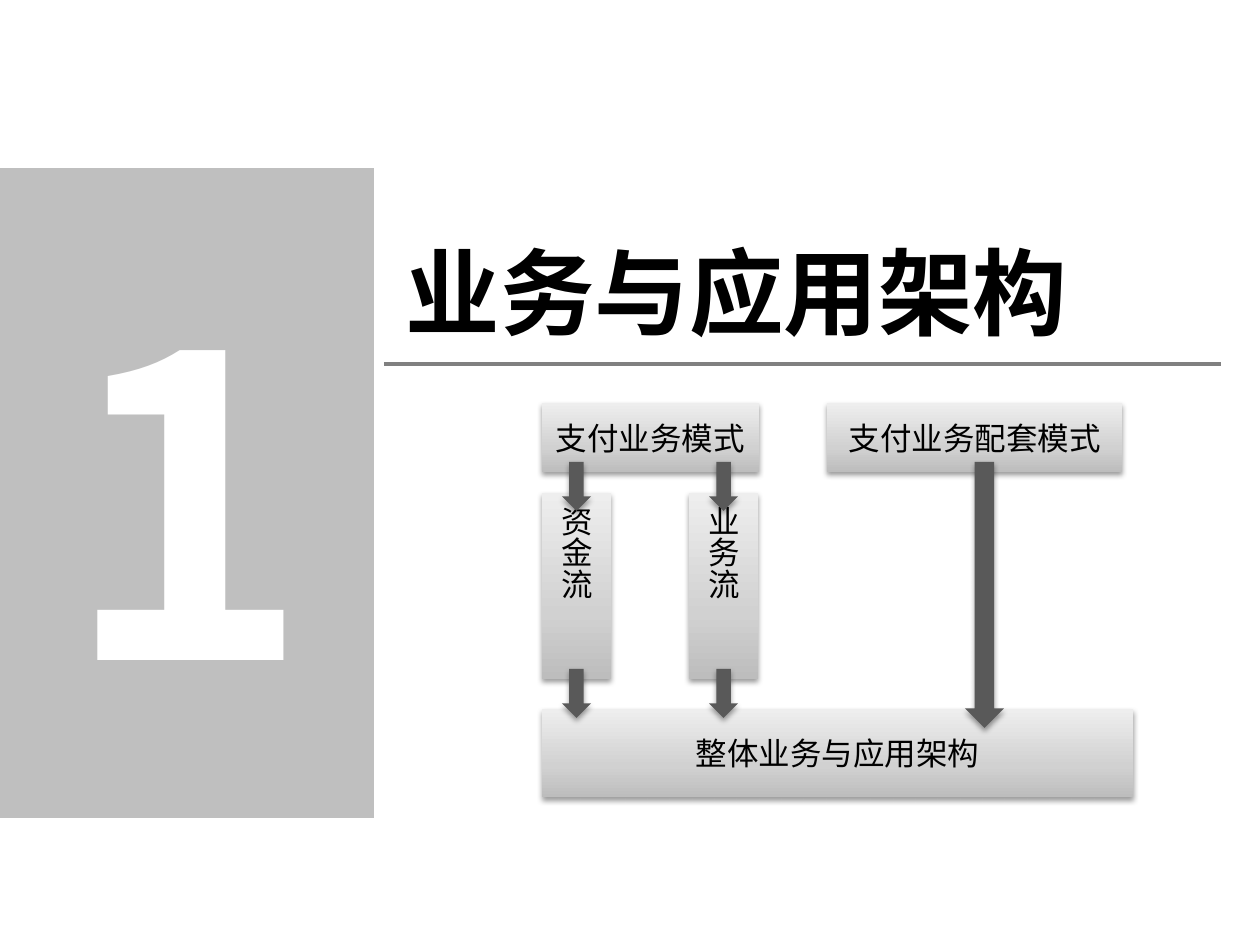
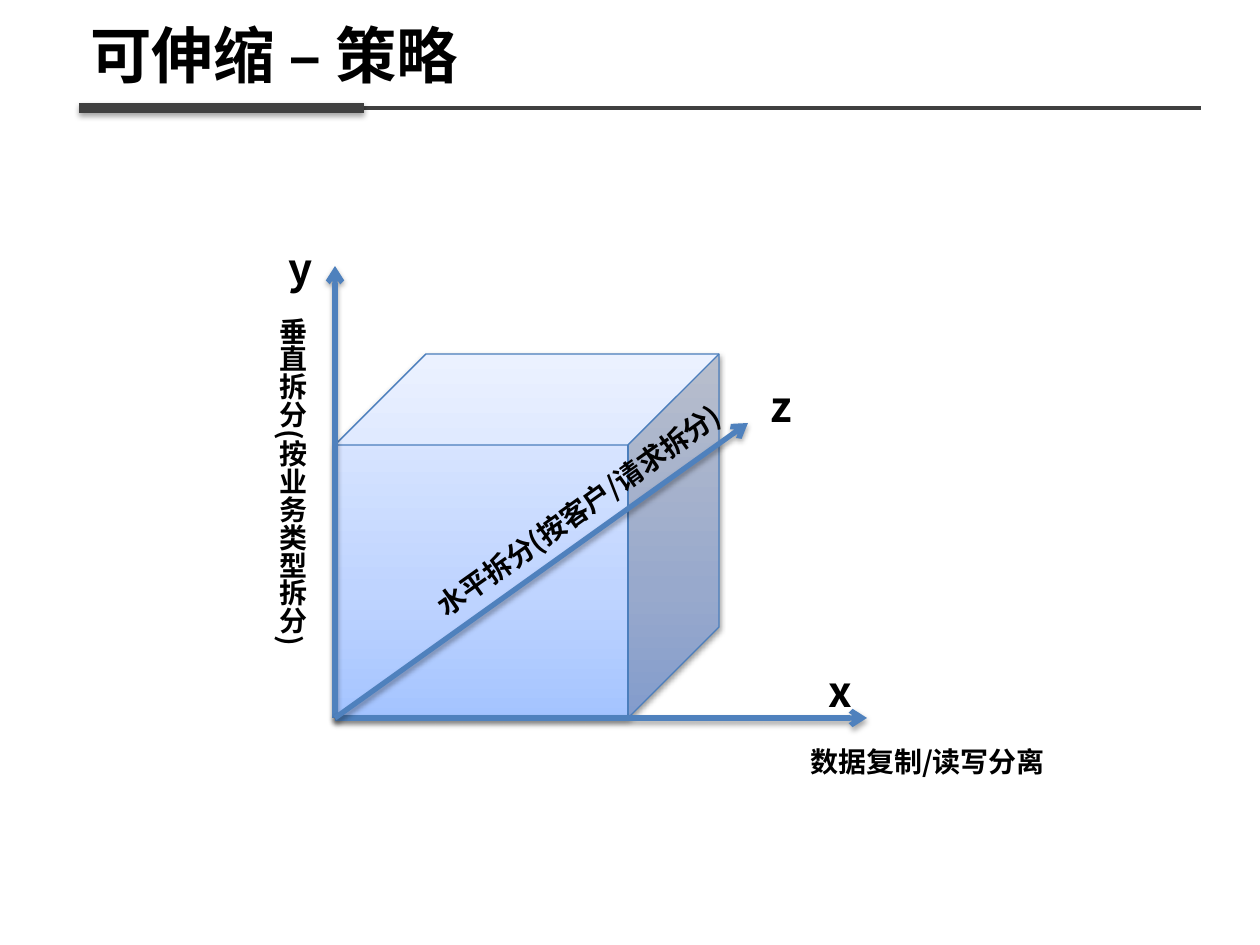
from lxml import etree
from pptx import Presentation
from pptx import util as u
from pptx.dml.color import RGBColor
from pptx.enum import shapes, text
from pptx.oxml.ns import qn

SCALE = 914400 / 126  # EMU in one px
FONT = "Noto Sans CJK SC"
BLACK, WHITE = "000000", "FFFFFF"
PANEL, RULE, ARROW, DARK = "BFBFBF", "808080", "595959", "404040"
AXIS, EDGE = "4F81BD", "4B7EBC"
GREY_FADE = ((0, "BDBDBD"), (35, "D1D1D1"), (100, "EEEEEE"))
BLUE_FADE = ((0, "A4C4FF"), (35, "BFD4FF"), (100, "E6EEFF"))
SHAPE_SHADOW = (38, 20000)  # opacity in percent, distance in EMU
LINE_SHADOW = (35, 23000)

KIND = shapes.MSO_SHAPE
LEFT, CENTER = text.PP_ALIGN.LEFT, text.PP_ALIGN.CENTER
MIDDLE, TOP = text.MSO_ANCHOR.MIDDLE, text.MSO_ANCHOR.TOP


def px(length):
    return u.Emu(round(length * SCALE))


def color(value):
    return RGBColor.from_string(value)


def add_node(parent, tag, **attributes):
    node = etree.SubElement(parent, qn(tag))
    for name, value in attributes.items():
        node.set(name, str(value))
    return node


def write(box, words, size=18, ink=BLACK, bold=False, align=LEFT, anchor=MIDDLE,
          wrap=True, vertical=False, spacing=None, grow=False):
    frame = box.text_frame
    frame.word_wrap = wrap
    fit = text.MSO_AUTO_SIZE
    frame.auto_size = fit.SHAPE_TO_FIT_TEXT if grow else fit.NONE
    frame.vertical_anchor = anchor
    if vertical:
        frame._txBody.bodyPr.set("vert", "eaVert")
    para = frame.paragraphs[0]
    para.alignment = align
    if spacing:
        para.line_spacing = spacing
    span = para.add_run()
    span.text = words
    span.font.size = u.Pt(size)
    span.font.bold = bold
    span.font.name = FONT
    span.font.color.rgb = color(ink)
    add_node(span._r.get_or_add_rPr(), "a:ea", typeface=FONT)


def cast_shadow(effects, opacity, distance):
    shadow = add_node(effects, "a:outerShdw", blurRad=40000, dist=distance,
                      dir=5400000, rotWithShape=0)
    ink = add_node(shadow, "a:srgbClr", val=BLACK)
    add_node(ink, "a:alpha", val=opacity * 1000)


class Painter:
    """Holds the deck's style and the slide being drawn."""

    def __init__(self):
        self.deck = Presentation()
        self.deck.slide_width, self.deck.slide_height = px(1260), px(945)
        self.page = None

    def new_page(self, layout):
        self.page = self.deck.slides.add_slide(self.deck.slide_layouts[layout])
        for holder in list(self.page.placeholders):
            if holder != self.page.shapes.title:
                holder._element.getparent().remove(holder._element)

    def title(self, words, left, top, width, height, **style):
        box = self.page.shapes.title
        box.left, box.top, box.width, box.height = map(px, (left, top, width, height))
        write(box, words, bold=True, **style)

    def shape(self, kind, left, top, width, height, fill, edge=None, shadow=SHAPE_SHADOW):
        box = self.page.shapes.add_shape(kind, *map(px, (left, top, width, height)))
        box.shadow.inherit = False
        if isinstance(fill, str):
            box.fill.solid()
            box.fill.fore_color.rgb = color(fill)
        else:
            self.fade(box, fill)
        if edge:
            box.line.color.rgb = color(edge)
            box.line.width = u.Pt(0.75)
        else:
            box.line.fill.background()
        if shadow:
            cast_shadow(box._element.spPr.find(qn("a:effectLst")), *shadow)
        return box

    def fade(self, box, stops):
        box.fill.gradient()
        box.fill.gradient_angle = 90
        stop_list = box._element.spPr.find(".//" + qn("a:gsLst"))
        for stop in list(stop_list):
            stop_list.remove(stop)
        for place, value in stops:
            stop = add_node(stop_list, "a:gs", pos=place * 1000)
            add_node(stop, "a:srgbClr", val=value)

    def block(self, words, left, top, width, height, **style):
        box = self.shape(KIND.RECTANGLE, left, top, width, height, GREY_FADE)
        write(box, words, **style)

    def line(self, start, end, ink, weight, arrow=False, shadow=None):
        line = self.page.shapes.add_connector(
            shapes.MSO_CONNECTOR.STRAIGHT, *map(px, (*start, *end)))
        line.line.color.rgb = color(ink)
        line.line.width = u.Pt(weight)
        if arrow:
            add_node(line.line._get_or_add_ln(), "a:tailEnd", type="arrow")
        effects = add_node(line._element.spPr, "a:effectLst")
        if shadow:
            cast_shadow(effects, *shadow)

    def label(self, words, left, top, width, height, size=16, turn=0, **style):
        box = self.page.shapes.add_textbox(*map(px, (left, top, width, height)))
        box.rotation = turn
        write(box, words, size=size, bold=True, anchor=TOP, grow=True, **style)


def section_page(paint):
    paint.new_page(0)
    # Numbered panel and heading
    panel = paint.shape(KIND.RECTANGLE, 0, 168, 374, 650, PANEL, shadow=None)
    write(panel, "1", size=239, ink=WHITE, bold=True, align=CENTER)
    paint.title("业务与应用架构", 393, 227, 693, 127, size=54, wrap=False, grow=True)
    paint.line((384, 364), (1221, 364), RULE, 2.25)

    # Modes, flows and the overall architecture
    flows = {"资金流": 542, "业务流": 689}
    paint.block("支付业务模式", 542, 403, 217, 69, align=CENTER)
    paint.block("支付业务配套模式", 827, 403, 295, 69, align=CENTER)
    for flow, left in flows.items():
        paint.block(flow, left, 493, 69, 186, vertical=True)
    paint.block("整体业务与应用架构", 542, 709, 591, 88, align=CENTER)

    # Arrows into and out of each flow, then the long one
    for top in (462, 669):
        for left in flows.values():
            paint.shape(KIND.DOWN_ARROW, left + 20, top, 29, 49, ARROW)
    paint.shape(KIND.DOWN_ARROW, 965, 462, 39, 266, ARROW)


def scaling_page(paint):
    paint.new_page(5)
    # Heading with a thin rule and a thick accent
    paint.title("可伸缩 – 策略", 78, 18, 1119, 81, size=35.1, spacing=0.9)
    paint.line((79, 108), (1201, 108), DARK, 2.25)
    paint.line((79, 108), (364, 108), DARK, 6, shadow=LINE_SHADOW)

    # Cube and the three axes from its corner
    paint.shape(KIND.CUBE, 335, 354, 384, 364, BLUE_FADE, edge=EDGE)
    for tip in ((335, 266), (867, 718), (748, 423)):
        paint.line((335, 718), tip, AXIS, 3, arrow=True, shadow=LINE_SHADOW)

    # What each axis means
    paint.label("数据复制/读写分离", 798, 738, 265, 47)
    paint.label("垂直拆分(按业务类型拆分)", 256, 305, 59, 345, vertical=True, wrap=False)
    paint.label("水平拆分(按客户/请求拆分)", 396, 485, 372, 47, turn=324.6)

    # Axis letters
    for letter, left, top in (("x", 816, 659), ("z", 758, 374), ("y", 276, 236)):
        paint.label(letter, left, top, 50, 63, size=24, wrap=False)


def main():
    paint = Painter()
    section_page(paint)
    scaling_page(paint)
    paint.deck.save("out.pptx")


if __name__ == "__main__":
    main()
